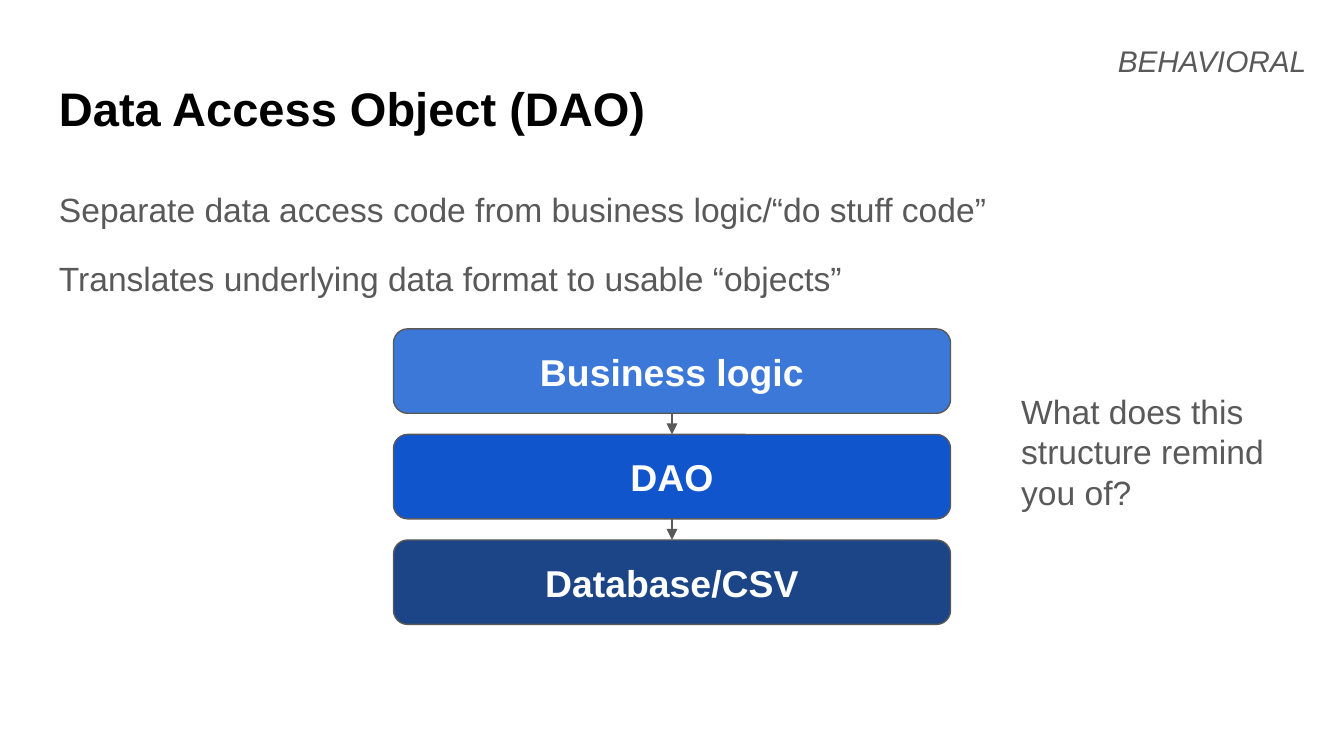
from lxml import etree
from pptx import Presentation
from pptx.dml.color import RGBColor
from pptx.enum.shapes import MSO_CONNECTOR, MSO_SHAPE
from pptx.enum.text import MSO_ANCHOR, PP_ALIGN
from pptx.oxml.ns import qn
from pptx.util import Pt

ROUNDED = MSO_SHAPE.ROUNDED_RECTANGLE
STRAIGHT = MSO_CONNECTOR.STRAIGHT
LEFT, CENTER, RIGHT = PP_ALIGN.LEFT, PP_ALIGN.CENTER, PP_ALIGN.RIGHT
TOP, MIDDLE = MSO_ANCHOR.TOP, MSO_ANCHOR.MIDDLE

WIDTH, HEIGHT = 720, 405
GRAY = "595959"
INSET = 7.2

TITLE = ["Data Access Object (DAO)"]
BODY = [
    "Separate data access code from business logic/“do stuff code”",
    "Translates underlying data format to usable “objects”",
]
CATEGORY = ["BEHAVIORAL"]
QUESTION = ["What does this structure remind you of?"]
LAYERS = [
    ("Business logic", "3C78D8"),
    ("DAO", "1155CC"),
    ("Database/CSV", "1C4587"),
]

LAYER_WIDTH, LAYER_HEIGHT = 298.4, 45.2
LAYER_TOP, LAYER_PITCH = 176.2, 56.55


def color(value):
    return RGBColor.from_string(value)


def write(shape, lines, size, text_color=GRAY, bold=False, italic=False,
          align=LEFT, anchor=TOP):
    frame = shape.text_frame
    frame.text = "\n".join(lines)
    frame.word_wrap = True
    frame.vertical_anchor = anchor
    frame.margin_left = frame.margin_right = Pt(INSET)
    frame.margin_top = frame.margin_bottom = Pt(INSET)
    for paragraph in frame.paragraphs:
        paragraph.alignment = align
        for run in paragraph.runs:
            run.font.name = "Arial"
            run.font.size = Pt(size)
            run.font.bold = bold
            run.font.italic = italic
            run.font.color.rgb = color(text_color)
    return frame


def add_text(slide, box, lines, size, **style):
    shape = slide.shapes.add_textbox(*map(Pt, box))
    return write(shape, lines, size, **style)


def style_line(line):
    line.color.rgb = color(GRAY)
    line.width = Pt(0.75)


def add_layer(slide, top, label, fill):
    left = (WIDTH - LAYER_WIDTH) / 2
    shape = slide.shapes.add_shape(
        ROUNDED, Pt(left), Pt(top), Pt(LAYER_WIDTH), Pt(LAYER_HEIGHT))
    shape.shadow.inherit = False
    shape.fill.solid()
    shape.fill.fore_color.rgb = color(fill)
    style_line(shape.line)
    write(shape, [label], 20, text_color="FFFFFF", bold=True,
          align=CENTER, anchor=MIDDLE)


def add_arrow(slide, start, end):
    center = Pt(WIDTH / 2)
    arrow = slide.shapes.add_connector(
        STRAIGHT, center, Pt(start), center, Pt(end))
    style_line(arrow.line)
    properties = arrow.line._get_or_add_ln()
    etree.SubElement(properties, qn("a:tailEnd"), type="triangle")
    etree.SubElement(properties.getparent(), qn("a:effectLst"))


def main():
    presentation = Presentation()
    presentation.slide_width = Pt(WIDTH)
    presentation.slide_height = Pt(HEIGHT)
    slide = presentation.slides.add_slide(presentation.slide_layouts[6])

    add_text(slide, (24.5, 35.3, 671, 45.4), TITLE, 25.2,
             text_color="000000", bold=True)
    body = add_text(slide, (24.5, 90.7, 671, 269.3), BODY, 18)
    for paragraph in body.paragraphs:
        paragraph.line_spacing = 1.15
    body.paragraphs[-1].space_before = Pt(12)
    body.paragraphs[-1].space_after = Pt(12)
    add_text(slide, (499, 15.8, 208, 41.8), CATEGORY, 16,
             italic=True, align=RIGHT)

    for index, (label, fill) in enumerate(LAYERS):
        top = LAYER_TOP + index * LAYER_PITCH
        add_layer(slide, top, label, fill)
        if index:
            add_arrow(slide, top - LAYER_PITCH + LAYER_HEIGHT, top)

    add_text(slide, (540, 202.3, 149.8, 89.3), QUESTION, 18)
    presentation.save("out.pptx")


if __name__ == "__main__":
    main()
